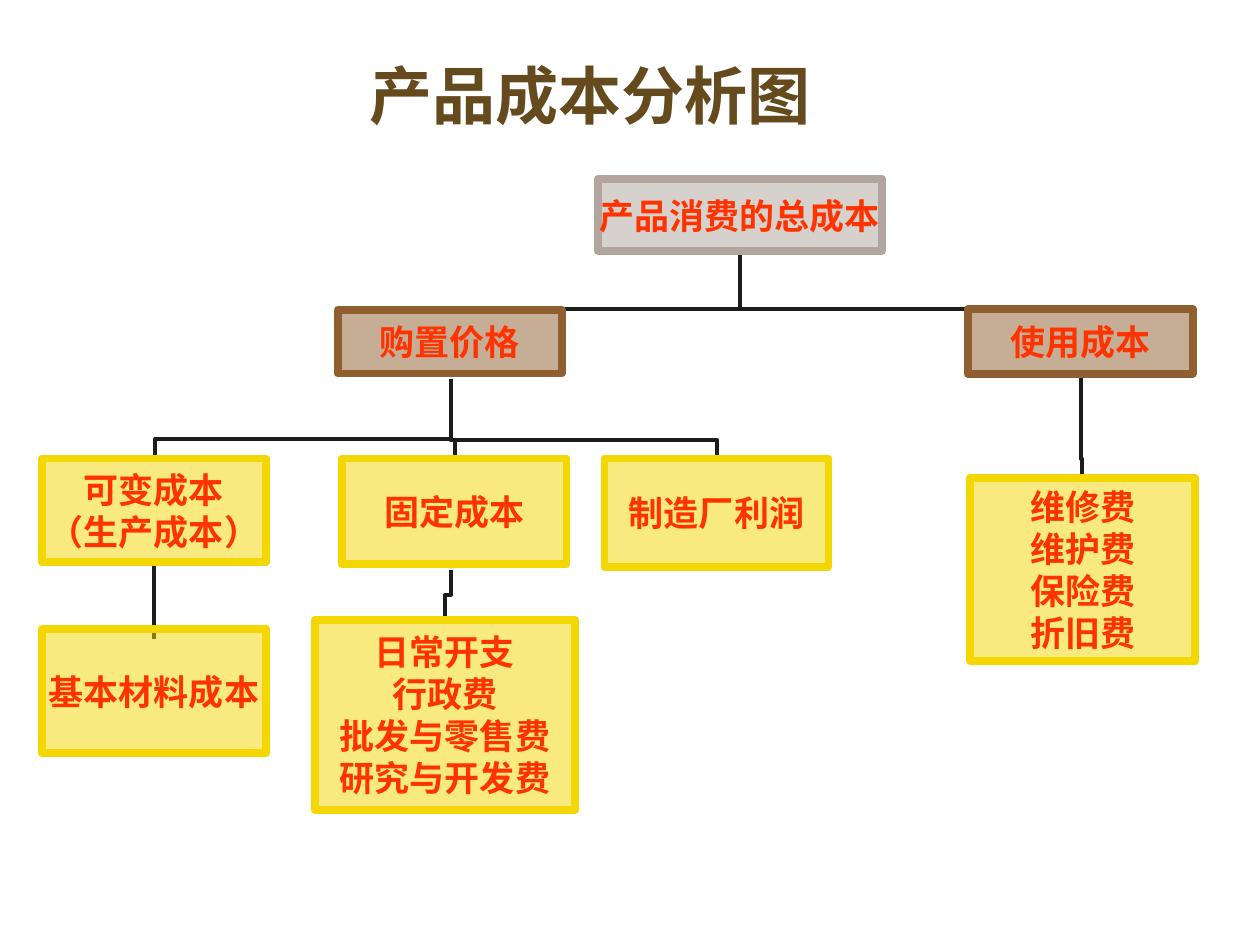
from lxml import etree
from pptx import Presentation
from pptx.dml.color import RGBColor
from pptx.enum.shapes import MSO_CONNECTOR, MSO_SHAPE
from pptx.enum.text import MSO_ANCHOR, MSO_AUTO_SIZE, PP_ALIGN
from pptx.oxml.ns import qn
from pptx.util import Pt

RECTANGLE = MSO_SHAPE.RECTANGLE
STRAIGHT, ELBOW = MSO_CONNECTOR.STRAIGHT, MSO_CONNECTOR.ELBOW
MIDDLE, NO_AUTOFIT = MSO_ANCHOR.MIDDLE, MSO_AUTO_SIZE.NONE
LEFT, CENTER = PP_ALIGN.LEFT, PP_ALIGN.CENTER
BOTTOM_SIDE = 2
GREY, BROWN, YELLOW = "B1A59D", "8F5F2F", "F4D700"
RED, TITLE_BROWN, LINE_BLACK = "FF3300", "654A1D", "1C1C1C"
color = RGBColor.from_string


def write_text(frame, text, size=20, font="Arial", hex_color=RED, align=CENTER):
    frame.text = text
    frame.vertical_anchor = MIDDLE
    frame.auto_size = NO_AUTOFIT
    for paragraph in frame.paragraphs:
        paragraph.alignment = align
        for run in paragraph.runs:
            run.font.size = Pt(size)
            run.font.name = font
            run.font.bold = True
            run.font.color.rgb = color(hex_color)


def add_line(kind, x1, y1, x2, y2):
    """Add a connector behind every box."""
    connector = slide.shapes.add_connector(kind, Pt(x1), Pt(y1), Pt(x2), Pt(y2))
    connector.line.color.rgb = color(LINE_BLACK)
    connector.line.width = Pt(2.25)
    etree.SubElement(connector._element.spPr, qn("a:effectLst"))
    slide.shapes._spTree.insert(2, connector._element)
    return connector


presentation = Presentation()
presentation.slide_width, presentation.slide_height = Pt(720), Pt(540)
slide = presentation.slides.add_slide(presentation.slide_layouts[5])

# Title
title = slide.shapes.title
title.left, title.top, title.width, title.height = Pt(203.75), Pt(7.2), Pt(473.75), Pt(93.6)
write_text(title.text_frame, "产品成本分析图", size=36, font="Cabin",
           hex_color=TITLE_BROWN, align=LEFT)

# Cost boxes: text, colour, left, top, width, height
cost_boxes = [
    ("产品消费的总成本", GREY, 341.5, 102.5, 162.5, 41),
    ("购置价格", BROWN, 193, 177, 128, 36.5),
    ("使用成本", BROWN, 553, 176.5, 128.5, 37),
    ("可变成本\n（生产成本）", YELLOW, 24, 262, 128, 59),
    ("制造厂利润", YELLOW, 345.5, 262, 128, 62),
    ("固定成本", YELLOW, 195.25, 262, 128.5, 60.5),
    ("基本材料成本", YELLOW, 24, 359.5, 128, 71),
    ("日常开支\n行政费\n批发与零售费\n研究与开发费", YELLOW, 180, 354.25, 148.5, 108.5),
    ("维修费\n维护费\n保险费\n折旧费", YELLOW, 554.5, 273, 128.5, 105),
]
boxes = {}
for text, hex_color, left, top, width, height in cost_boxes:
    box = slide.shapes.add_shape(RECTANGLE, Pt(left), Pt(top), Pt(width), Pt(height))
    box.shadow.inherit = False
    box.fill.solid()
    box.fill.fore_color.rgb = color(hex_color)
    fill_color = box._element.spPr.find(qn("a:solidFill"))[0]
    etree.SubElement(fill_color, qn("a:alpha"), val="50000")
    box.line.color.rgb = color(hex_color)
    box.line.width = Pt(4.5)
    frame = box.text_frame
    frame.margin_left = frame.margin_top = frame.margin_right = frame.margin_bottom = 0
    frame.word_wrap = False
    write_text(frame, text)
    boxes[text] = box

# Straight lines: bar over the two cost groups, its stem, and the material cost
add_line(STRAIGHT, 254, 176.5, 618, 176.5)
stem = add_line(STRAIGHT, 422.75, 143.5, 422.75, 176.5)
stem.begin_connect(boxes["产品消费的总成本"], BOTTOM_SIDE)
material_line = add_line(STRAIGHT, 88, 321, 88, 365)
material_line.begin_connect(boxes["可变成本\n（生产成本）"], BOTTOM_SIDE)

# Elbows running downwards: start, end, share of the height at which they turn
elbows = [
    (257.75, 216.75, 88.5, 262, 0.76),
    (257.75, 216.75, 260, 262, 0.77),
    (257.75, 216.75, 409.75, 262, 0.77),
    (257.75, 325.5, 254.25, 354.25, 0.5),
    (617.75, 216, 618.5, 273, 0.81),
]
for x1, y1, x2, y2, turn in elbows:
    # A vertical elbow is a horizontal one turned by 90 degrees about its centre
    center_x, center_y = (x1 + x2) / 2, (y1 + y2) / 2
    half_x, half_y = (x2 - x1) / 2, (y2 - y1) / 2
    elbow = add_line(ELBOW, center_x - half_y, center_y + half_x,
                     center_x + half_y, center_y - half_x)
    properties = elbow._element.spPr
    properties.find(qn("a:xfrm")).set("rot", "5400000")
    adjustments = properties.find(qn("a:prstGeom")).find(qn("a:avLst"))
    etree.SubElement(adjustments, qn("a:gd"), name="adj1", fmla=f"val {round(turn * 100000)}")

presentation.save("out.pptx")
